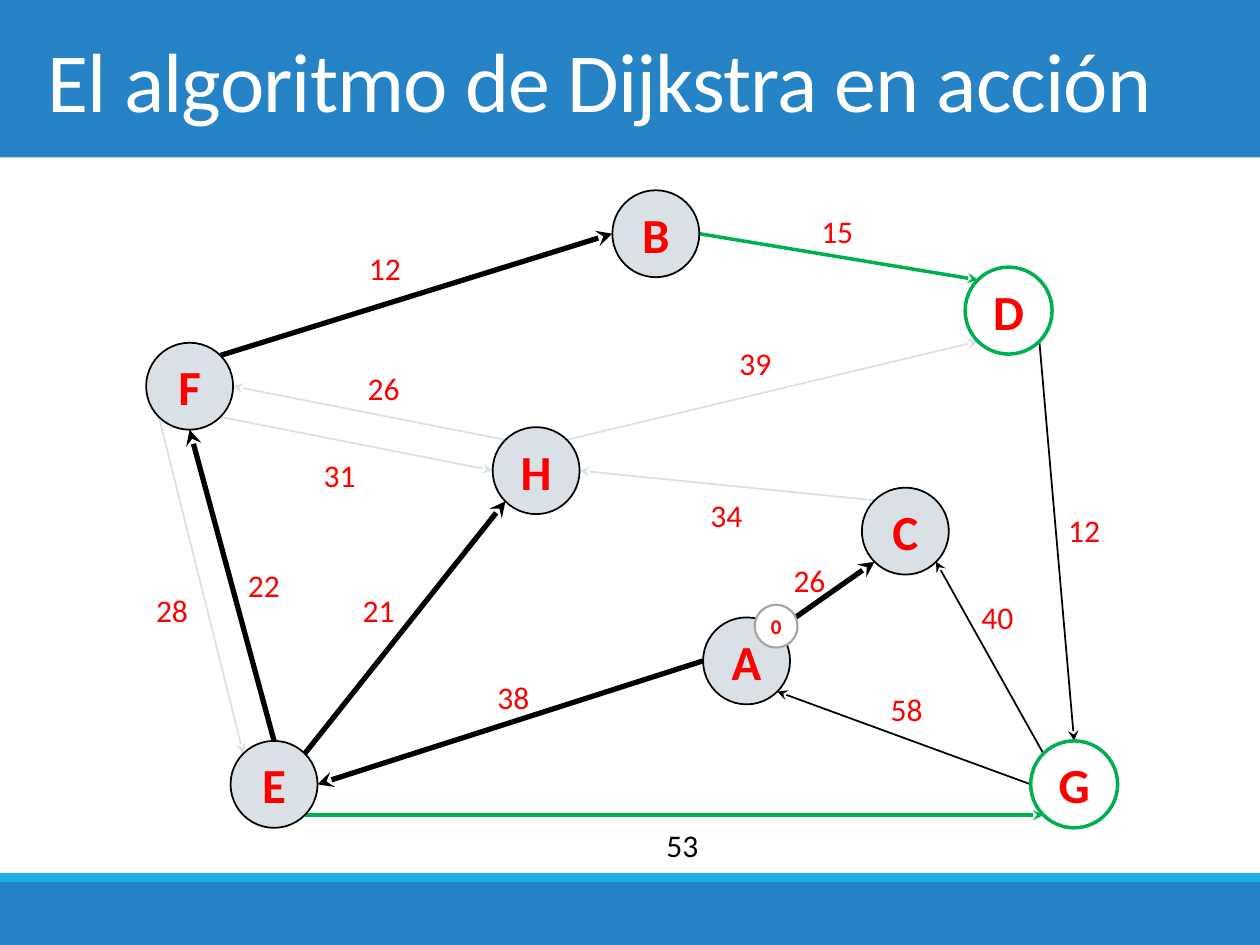
import math

from lxml import etree
from pptx import Presentation
from pptx.dml.color import RGBColor
from pptx.enum import shapes, text
from pptx.oxml.ns import qn
from pptx.util import Inches, Pt

COLORS = {
    "blue": "2683C6", "cyan": "1CADE4", "white": "FFFFFF", "black": "000000",
    "green": "00B050", "pale": "D9E0E6", "red": "FF0000", "gray": "A6A6A6",
}
TITLE = "El algoritmo de Dijkstra en acción"
BANDS = [  # top, height, colour
    (0, 1.25, "blue"), (7, 0.5, "blue"), (6.93, 0.07, "cyan"),
]

# Graph: left and top of each node, then its state
DIAMETER = 0.69
NODES = {
    "A": (5.58, 4.9, "settled"), "B": (4.86, 1.51, "settled"),
    "C": (6.84, 3.87, "settled"), "D": (7.66, 2.12, "frontier"),
    "E": (1.83, 5.88, "settled"), "F": (1.16, 2.72, "settled"),
    "G": (8.18, 5.88, "frontier"), "H": (3.91, 3.39, "settled"),
}
NODE_STYLES = {  # fill, outline, outline width
    "settled": ("pale", "black", 1), "frontier": ("white", "green", 2),
}
EDGE_STYLES = {  # colour, width
    "tree": ("black", 3), "candidate": ("green", 2),
    "discarded": ("pale", 1), "pending": ("black", 1),
}
ANGLES = {  # attachment points on a circle, in degrees
    "right": 0, "bottom right": 45, "bottom": 90, "bottom left": 135,
    "left": 180, "top left": 225, "top": 270, "top right": 315,
}
EDGES = [  # start, side, end, side, state, weight, label left and top
    ("F", "top right", "B", "left", "tree", "12", 2.83, 1.93),
    ("B", "right", "D", "top left", "candidate", "15", 6.42, 1.63),
    ("H", "top right", "D", "bottom left", "discarded", "39", 5.77, 2.68),
    ("D", "bottom right", "G", "top", "pending", "12", 8.38, 4.01),
    ("E", "bottom right", "G", "bottom left", "candidate", "53", 5.19, 6.51),
    ("G", "top left", "C", "bottom right", "pending", "40", 7.69, 4.7),
    ("G", "left", "A", "bottom right", "pending", "58", 6.97, 5.43),
    ("A", "top right", "C", "bottom left", "tree", "26", 6.2, 4.4),
    ("A", "left", "E", "right", "tree", "38", 3.85, 5.33),
    ("C", "top left", "H", "right", "discarded", "34", 5.54, 3.89),
    ("E", "top right", "H", "bottom left", "tree", "21", 2.78, 4.64),
    ("H", "top left", "F", "right", "discarded", "26", 2.82, 2.88),
    ("F", "bottom right", "H", "left", "discarded", "31", 2.47, 3.57),
    ("E", "top", "F", "bottom", "tree", "22", 1.87, 4.44),
    ("F", "bottom left", "E", "top left", "discarded", "28", 1.14, 4.64),
]


def rgb(name):
    return RGBColor.from_string(COLORS[name])


def write(box, words, size, color, bold=False, **frame_format):
    frame = box.text_frame
    for name, value in frame_format.items():
        setattr(frame, name, value)
    span = frame.paragraphs[0].add_run()
    span.text = words
    span.font.color.rgb = rgb(color)
    for name, value in {"name": "Calibri", "size": Pt(size), "bold": bold}.items():
        setattr(span.font, name, value)
    return span


def add_filled(page, kind, left, top, width, height, fill, line=None, line_width=1):
    shape = page.shapes.add_shape(kind, *map(Inches, (left, top, width, height)))
    shape.shadow.inherit = False
    shape.fill.solid()
    shape.fill.fore_color.rgb = rgb(fill)
    if line:
        shape.line.color.rgb = rgb(line)
        shape.line.width = Pt(line_width)
    else:
        shape.line.fill.background()
    return shape


def add_circle(page, left, top, diameter, words, size, fill, line, line_width):
    circle = add_filled(page, shapes.MSO_SHAPE.OVAL, left, top, diameter, diameter,
                        fill, line, line_width)
    write(circle, words, size, "red", bold=True, word_wrap=False,
          vertical_anchor=text.MSO_ANCHOR.MIDDLE,
          margin_left=0, margin_right=0, margin_top=0, margin_bottom=0)
    circle.text_frame.paragraphs[0].alignment = text.PP_ALIGN.CENTER


def attachment(node, side):
    left, top, _ = NODES[node]
    radius = DIAMETER / 2
    angle = math.radians(ANGLES[side])
    return (Inches(left + radius * (1 + math.cos(angle))),
            Inches(top + radius * (1 + math.sin(angle))))


def add_arrow(page, start, end, color, width):
    arrow = page.shapes.add_connector(shapes.MSO_CONNECTOR.STRAIGHT, *start, *end)
    arrow.line.color.rgb = rgb(color)
    arrow.line.width = Pt(width)
    etree.SubElement(arrow.line._get_or_add_ln(), qn("a:tailEnd"), type="stealth")
    etree.SubElement(arrow._element.spPr, qn("a:effectLst"))


def main():
    deck = Presentation()
    deck.slide_width, deck.slide_height = Inches(10), Inches(7.5)
    page = deck.slides.add_slide(deck.slide_layouts[6])

    # Header and footer bands
    for top, height, color in BANDS:
        add_filled(page, shapes.MSO_SHAPE.RECTANGLE, 0, top, 10, height, color)

    # Edges
    for start, start_side, end, end_side, state, *_ in EDGES:
        add_arrow(page, attachment(start, start_side), attachment(end, end_side),
                  *EDGE_STYLES[state])

    # Title
    title = page.shapes.add_textbox(*map(Inches, (0.28, 0, 9.45, 1.25)))
    span = write(title, TITLE, 48, "white", word_wrap=True,
                 vertical_anchor=text.MSO_ANCHOR.MIDDLE)
    span.font._element.set("spc", "-50")

    # Nodes
    for name, (left, top, state) in NODES.items():
        add_circle(page, left, top, DIAMETER, name, 28, *NODE_STYLES[state])

    # Edge weights
    for *_, weight, left, top in EDGES:
        label = page.shapes.add_textbox(*map(Inches, (left, top, 0.46, 0.4)))
        write(label, weight, 18, "black" if weight == "53" else "red",
              word_wrap=False, auto_size=text.MSO_AUTO_SIZE.SHAPE_TO_FIT_TEXT)

    # Distance badge on the source node
    add_circle(page, 5.99, 4.8, 0.34, "0", 12, "white", "gray", 1.25)

    deck.save("out.pptx")


if __name__ == "__main__":
    main()
